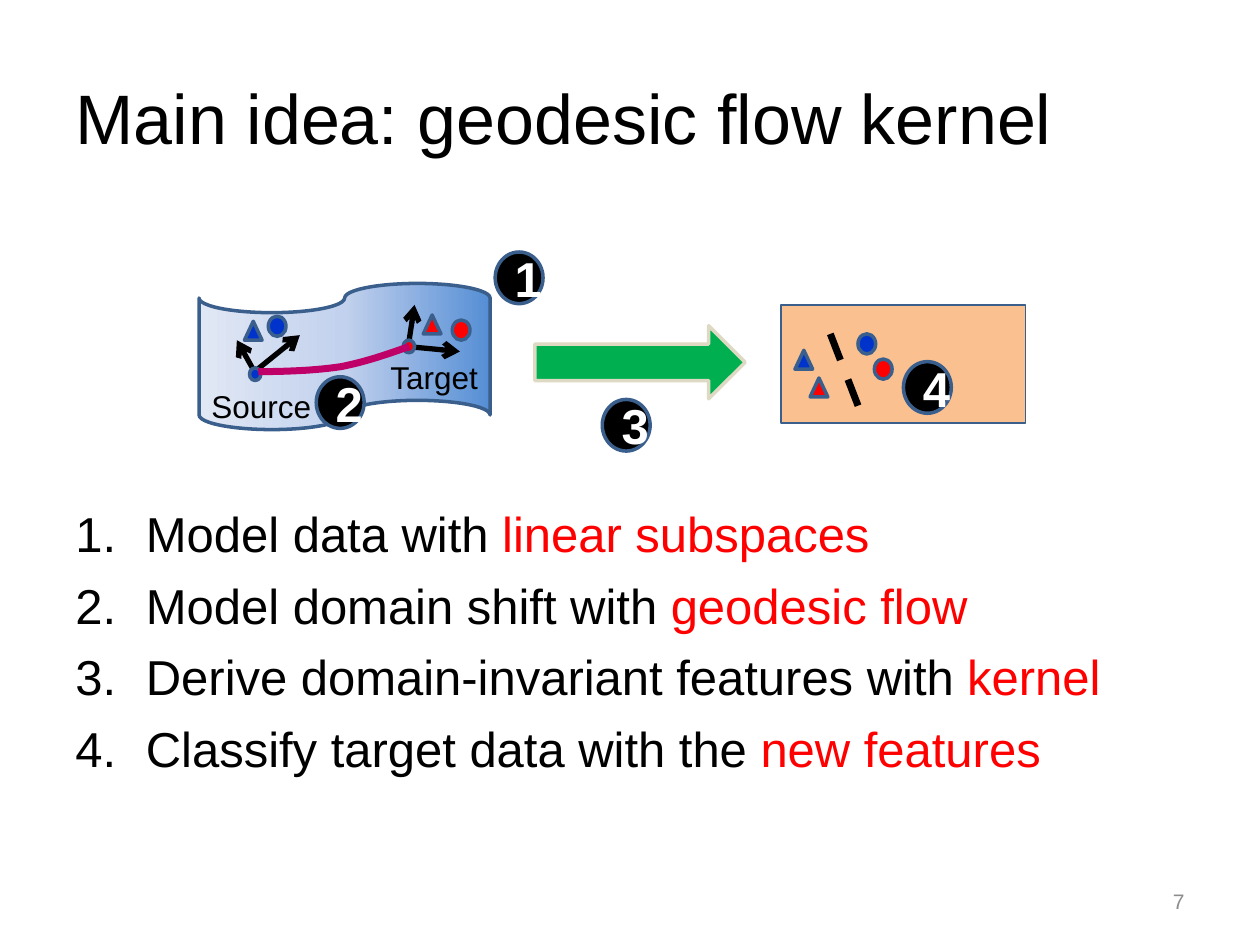
from copy import deepcopy

from lxml.etree import SubElement
from pptx import Presentation
from pptx.dml.color import RGBColor
from pptx.enum.dml import MSO_LINE
from pptx.enum.shapes import MSO_CONNECTOR, MSO_SHAPE
from pptx.enum.text import MSO_ANCHOR, PP_ALIGN
from pptx.oxml.ns import qn
from pptx.util import Inches, Pt

BLACK = RGBColor(0x00, 0x00, 0x00)
WHITE = RGBColor(0xFF, 0xFF, 0xFF)
RED = RGBColor(0xFF, 0x00, 0x00)
BLUE = RGBColor(0x00, 0x33, 0xCC)
OUTLINE = RGBColor(0x3A, 0x5F, 0x8C)
ORANGE = RGBColor(0xFA, 0xC0, 0x90)
GREEN = RGBColor(0x00, 0xB0, 0x50)
TAN = RGBColor(0xDD, 0xD9, 0xC3)
MAGENTA = RGBColor(0xBF, 0x00, 0x68)
GRAY = RGBColor(0x8C, 0x8C, 0x8C)
TAPE_STOPS = [
    (0, RGBColor(0x55, 0x8E, 0xD5)),
    (0.5, RGBColor(0xC2, 0xD1, 0xED)),
    (1, RGBColor(0xE1, 0xE8, 0xF5)),
]
FONT = "Arial"

TITLE = "Main idea: geodesic flow kernel"
STEPS = [
    ("Model data with ", "linear subspaces"),
    ("Model domain shift with ", "geodesic flow"),
    ("Derive domain-invariant features with ", "kernel"),
    ("Classify target data with the ", "new features"),
]
DOMAIN_LABELS = [("Target", 3, 2.79), ("Source", 1.58, 3.02)]
AXES = [
    ((2.02, 2.95), (2.38, 2.66)),
    ((2.02, 2.95), (1.88, 2.7)),
    ((3.23, 2.75), (3.65, 2.79)),
    ((3.24, 2.75), (3.29, 2.42)),
]
ORIGINS = [(1.98, 2.92, BLUE), (3.2, 2.7, RED)]
FLOW_CURVES = [
    ((2.05, 2.95), (2.28, 2.95), (2.51, 2.94), (2.71, 2.91)),
    ((2.71, 2.91), (2.91, 2.87), (3.08, 2.81), (3.25, 2.75)),
]
CIRCLE = (MSO_SHAPE.OVAL, 0.14, 0.16)
TRIANGLE = (MSO_SHAPE.ISOSCELES_TRIANGLE, 0.14, 0.15)
CLASSIFIED_POINTS = [
    (CIRCLE, 6.81, 2.65, BLUE),
    (CIRCLE, 6.94, 2.85, RED),
    (TRIANGLE, 6.43, 3, RED),
    (TRIANGLE, 6.31, 2.78, BLUE),
]
DOMAIN_POINTS = [
    (CIRCLE, 3.59, 2.54, RED),
    (TRIANGLE, 3.36, 2.5, RED),
    (TRIANGLE, 1.94, 2.55, BLUE),
    (CIRCLE, 2.13, 2.51, BLUE),
]


def add_shape(slide, kind, left, top, width, height, fill, line=OUTLINE, weight=2):
    shape = slide.shapes.add_shape(
        kind, Inches(left), Inches(top), Inches(width), Inches(height))
    shape.shadow.inherit = False
    if fill is not None:
        shape.fill.solid()
        shape.fill.fore_color.rgb = fill
    shape.line.color.rgb = line
    shape.line.width = Pt(weight)
    return shape


def add_points(slide, points):
    for (kind, width, height), left, top, color in points:
        add_shape(slide, kind, left, top, width, height, color)


def set_font(paragraph, size, color, bold=False):
    font = paragraph.font
    font.name, font.size, font.bold = FONT, Pt(size), bold
    font.color.rgb = color


def add_badge(slide, number, left, top):
    badge = add_shape(
        slide, MSO_SHAPE.FLOWCHART_CONNECTOR, left, top, 0.38, 0.41, BLACK)
    badge.text_frame.text = str(number)
    badge.text_frame.vertical_anchor = MSO_ANCHOR.MIDDLE
    paragraph = badge.text_frame.paragraphs[0]
    paragraph.alignment = PP_ALIGN.CENTER
    set_font(paragraph, 28, WHITE, True)


def add_text(slide, left, top, width, height, text=""):
    box = slide.shapes.add_textbox(
        Inches(left), Inches(top), Inches(width), Inches(height))
    box.text_frame.word_wrap = True
    box.text_frame.text = text
    return box.text_frame


def add_line(slide, start, end, weight):
    line = slide.shapes.add_connector(
        MSO_CONNECTOR.STRAIGHT, *(Inches(value) for value in start + end))
    line.line.color.rgb = BLACK
    line.line.width = Pt(weight)
    SubElement(line._element.spPr, qn("a:effectLst"))
    return line


def curve_point(curve, t):
    weights = ((1 - t) ** 3, 3 * t * (1 - t) ** 2, 3 * t * t * (1 - t), t ** 3)
    return tuple(
        Inches(sum(weight * point[axis] for weight, point in zip(weights, curve)))
        for axis in (0, 1))


def add_title(slide):
    title = slide.shapes.title
    title.left, title.top = Inches(0.5), Inches(0.3)
    title.width, title.height = Inches(9), Inches(1.25)
    title.text_frame.text = TITLE
    title.text_frame.vertical_anchor = MSO_ANCHOR.MIDDLE
    paragraph = title.text_frame.paragraphs[0]
    paragraph.alignment = PP_ALIGN.LEFT
    set_font(paragraph, 40, BLACK)


def add_steps(slide):
    frame = add_text(slide, 0.5, 3.95, 9, 2.37)
    for index, (lead, key) in enumerate(STEPS):
        paragraph = frame.add_paragraph() if index else frame.paragraphs[0]
        properties = paragraph._p.get_or_add_pPr()
        properties.set("marL", str(Inches(0.56)))
        properties.set("indent", str(Inches(-0.56)))
        if index:
            paragraph.space_before = Pt(7.2)
        SubElement(properties, qn("a:buFont"), typeface="+mj-lt")
        SubElement(properties, qn("a:buAutoNum"), type="arabicPeriod")
        set_font(paragraph, 28, BLACK)
        for text, color in ((lead, BLACK), (key, RED)):
            run = paragraph.add_run()
            run.text = text
            run.font.color.rgb = color


def add_classifier(slide):
    add_shape(slide, MSO_SHAPE.RECTANGLE, 6.2, 2.42, 1.94, 0.94, ORANGE, weight=1)
    boundary = add_line(slide, (6.59, 2.65), (6.81, 3.22), 4)
    boundary.line.dash_style = MSO_LINE.DASH
    add_points(slide, CLASSIFIED_POINTS)
    add_badge(slide, 4, 7.17, 2.87)


def add_manifold(slide):
    tape = add_shape(
        slide, MSO_SHAPE.FLOWCHART_PUNCHED_TAPE, 1.58, 2.25, 2.31, 1.16, None)
    tape.fill.gradient()
    tape.fill.gradient_angle = 180
    stop_list = tape._element.spPr.find(qn("a:gradFill")).find(qn("a:gsLst"))
    stop_list.append(deepcopy(stop_list[0]))
    for stop, (position, color) in zip(tape.fill.gradient_stops, TAPE_STOPS):
        stop.position = position
        stop.color.rgb = color

    for text, left, top in DOMAIN_LABELS:
        set_font(add_text(slide, left, top, 1, 0.4, text).paragraphs[0], 18, BLACK)
    for start, end in AXES:
        axis = add_line(slide, start, end, 3)
        SubElement(axis.line._get_or_add_ln(), qn("a:tailEnd"), type="arrow")
    for left, top, color in ORIGINS:
        add_shape(slide, MSO_SHAPE.FLOWCHART_CONNECTOR, left, top, 0.09, 0.1, color)

    points = [curve_point(curve, step / 12) for curve in FLOW_CURVES for step in range(13)]
    builder = slide.shapes.build_freeform(*points[0])
    builder.add_line_segments(points[1:], close=False)
    flow = builder.convert_to_shape()
    flow.shadow.inherit = False
    flow.fill.background()
    flow.line.color.rgb = MAGENTA
    flow.line.width = Pt(4)
    add_points(slide, DOMAIN_POINTS)
    add_badge(slide, 2, 2.51, 2.99)


def main():
    presentation = Presentation()
    presentation.slide_width, presentation.slide_height = Inches(10), Inches(7.5)
    slide = presentation.slides.add_slide(presentation.slide_layouts[5])
    add_title(slide)
    add_steps(slide)

    page_number = add_text(slide, 7.17, 6.95, 2.33, 0.4, "7")
    page_number.vertical_anchor = MSO_ANCHOR.MIDDLE
    page_number.paragraphs[0].alignment = PP_ALIGN.RIGHT
    set_font(page_number.paragraphs[0], 12, GRAY)

    add_badge(slide, 1, 3.93, 2)
    add_badge(slide, 3, 4.78, 3.17)
    add_classifier(slide)
    add_manifold(slide)
    arrow = add_shape(slide, MSO_SHAPE.DOWN_ARROW, 4.79, 2.04, 0.58, 1.67, GREEN, TAN)
    arrow.rotation = 270
    presentation.save("out.pptx")


if __name__ == "__main__":
    main()
